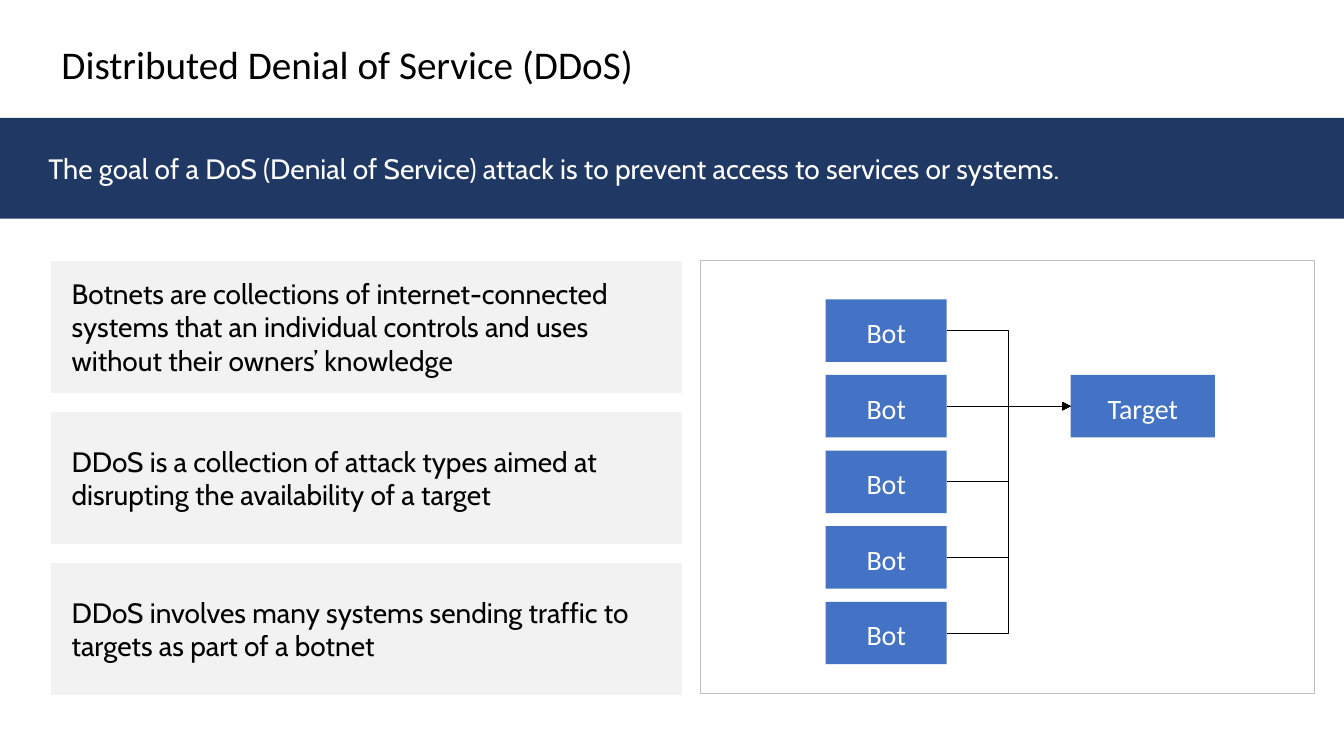
from dataclasses import dataclass

from lxml.etree import SubElement
from pptx import Presentation
from pptx.dml.color import RGBColor
from pptx.enum.shapes import MSO_CONNECTOR as Link, MSO_SHAPE as Preset
from pptx.enum.text import MSO_ANCHOR as Anchor, PP_ALIGN as Align
from pptx.oxml.ns import qn
from pptx.shapes.autoshape import Shape
from pptx.shapes.connector import Connector
from pptx.util import Inches, Pt


@dataclass(frozen=True)
class Theme:
    navy: str = "203864"
    blue: str = "4472C4"
    pale: str = "F2F2F2"
    border: str = "BFBFBF"
    black: str = "000000"
    white: str = "FFFFFF"
    heading_font: str = "Calibri"
    body_font: str = "Cabin"
    title_size: int = 28
    body_size: int = 20
    line_width: float = 0.5


@dataclass(frozen=True)
class Box:
    left: float
    top: float
    width: float
    height: float
    fill: str | None = None
    line: str | None = None


THEME = Theme()
CARD_TEXTS = (
    "Botnets are collections of internet-connected systems that an individual "
    "controls and uses without their owners’ knowledge",
    "DDoS is a collection of attack types aimed at disrupting the availability of a target",
    "DDoS involves many systems sending traffic to targets as part of a botnet",
)
CARD_TOP, CARD_PITCH = 2.59, 1.5
BOT_TOP, BOT_PITCH, BOT_COUNT = 2.97, 0.75, 5
TARGET_ROW = 1
NODE_HEIGHT = 0.62
NODE_INSETS = (0.2, 0.16)


def write(shape: Shape, text: str, *, font: str = THEME.body_font,
          size: int = THEME.body_size, color: str = THEME.black,
          align: Align = Align.LEFT, anchor: Anchor = Anchor.MIDDLE,
          insets: tuple[float, float] = (0.1, 0.05),
          spacing: float | None = None) -> None:
    frame = shape.text_frame
    frame.word_wrap = True
    frame.vertical_anchor = anchor
    frame.margin_left = frame.margin_right = Inches(insets[0])
    frame.margin_top = frame.margin_bottom = Inches(insets[1])
    paragraph = frame.paragraphs[0]
    paragraph.alignment = align
    paragraph.line_spacing = spacing
    run = paragraph.add_run()
    run.text = text
    run.font.name = font
    run.font.size = Pt(size)
    run.font.color.rgb = RGBColor.from_string(color)


def draw_box(shapes, box: Box) -> Shape:
    shape = shapes.add_shape(Preset.RECTANGLE, Inches(box.left), Inches(box.top),
                             Inches(box.width), Inches(box.height))
    shape.shadow.inherit = False
    if box.fill:
        shape.fill.solid()
        shape.fill.fore_color.rgb = RGBColor.from_string(box.fill)
    else:
        shape.fill.background()
    if box.line:
        shape.line.color.rgb = RGBColor.from_string(box.line)
        shape.line.width = Pt(THEME.line_width)
    else:
        shape.line.fill.background()
    return shape


def draw_node(shapes, label: str, left: float, row: int, width: float) -> Shape:
    node = draw_box(shapes, Box(left, BOT_TOP + row * BOT_PITCH, width,
                                NODE_HEIGHT, THEME.blue))
    write(node, label, font=THEME.heading_font, color=THEME.white,
          align=Align.CENTER, anchor=Anchor.TOP, insets=NODE_INSETS)
    return node


def draw_arrow(shapes, source: Shape, target: Shape) -> Connector:
    kind = Link.STRAIGHT if source.top == target.top else Link.ELBOW
    arrow = shapes.add_connector(
        kind, source.left + source.width, source.top + source.height // 2,
        target.left, target.top + target.height // 2)
    arrow.begin_connect(source, 3)
    arrow.end_connect(target, 1)
    arrow.line.color.rgb = RGBColor.from_string(THEME.black)
    arrow.line.width = Pt(THEME.line_width)
    SubElement(arrow.line._get_or_add_ln(), qn("a:tailEnd"), type="triangle")
    SubElement(arrow._element.spPr, qn("a:effectLst"))
    return arrow


def main() -> None:
    deck = Presentation()
    deck.slide_width, deck.slide_height = Inches(13.33), Inches(7.5)
    slide = deck.slides.add_slide(deck.slide_layouts[5])

    title = slide.shapes.title
    title.left, title.top = Inches(0.51), Inches(-0.06)
    title.width, title.height = Inches(11.5), Inches(1.45)
    write(title, "Distributed Denial of Service (DDoS)", font=THEME.heading_font,
          size=THEME.title_size, spacing=0.9)

    goal = draw_box(slide.shapes, Box(0, 1.17, 13.33, 1, THEME.navy))
    write(goal, "The goal of a DoS (Denial of Service) attack is to prevent "
          "access to services or systems.", color=THEME.white, insets=(0.48, 0.05))

    for row, text in enumerate(CARD_TEXTS):
        card = draw_box(slide.shapes, Box(0.51, CARD_TOP + row * CARD_PITCH, 6.25, 1.3,
                                          THEME.pale, THEME.pale))
        write(card, text, insets=(0.2, 0.15))

    botnet = slide.shapes.add_group_shape().shapes
    bots = [draw_node(botnet, "Bot", 8.19, row, 1.2) for row in range(BOT_COUNT)]
    target = draw_node(botnet, "Target", 10.62, TARGET_ROW, 1.43)
    for bot in bots:
        draw_arrow(botnet, bot, target)

    draw_box(slide.shapes, Box(6.95, 2.58, 6.09, 4.3, line=THEME.border))
    deck.save("out.pptx")


if __name__ == "__main__":
    main()
